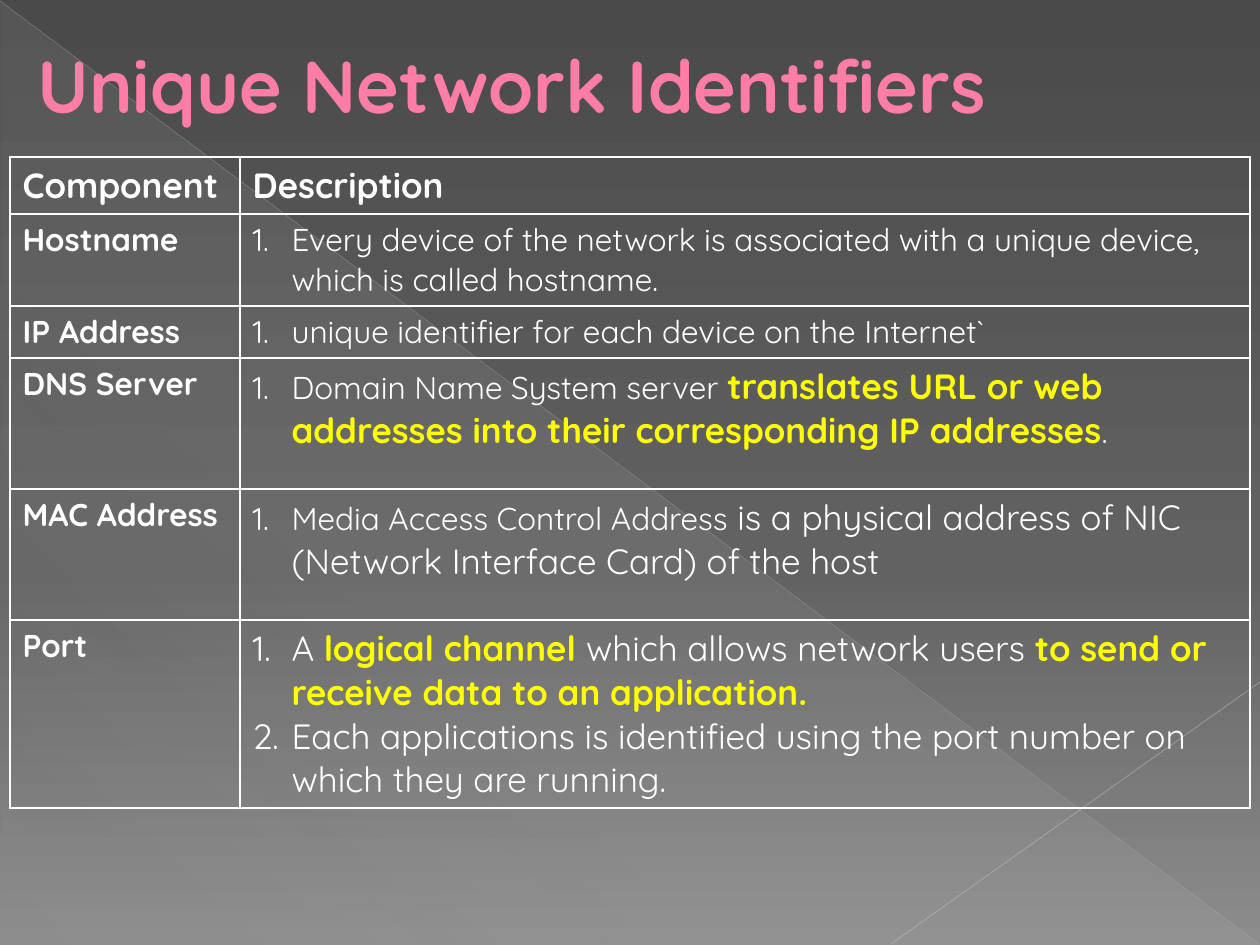
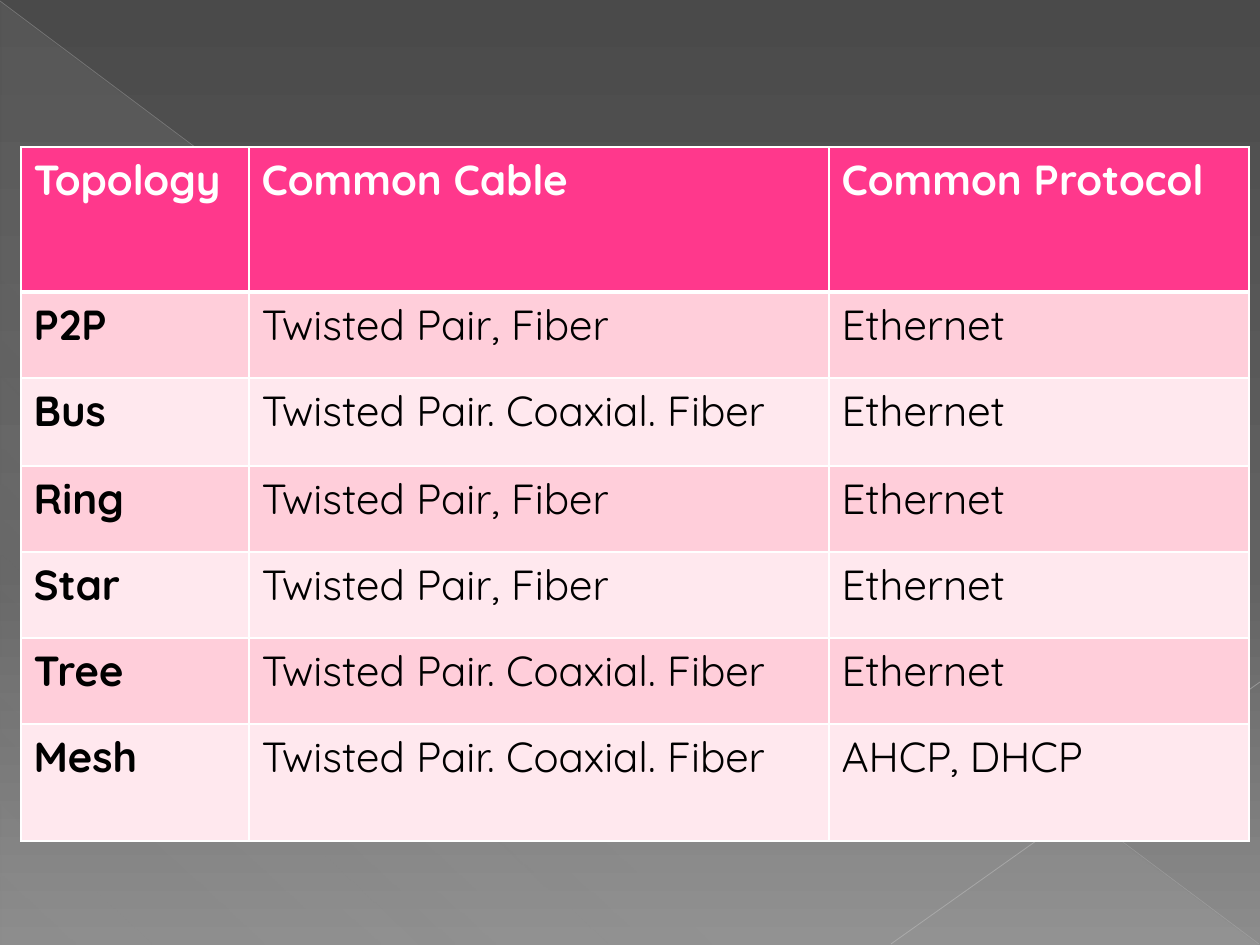
from typing import NamedTuple

from lxml.etree import SubElement
from pptx import Presentation
from pptx.dml.color import RGBColor
from pptx.enum.shapes import MSO_CONNECTOR as Connector, MSO_SHAPE as Shape
from pptx.enum.text import MSO_ANCHOR as Anchor
from pptx.oxml.ns import qn
from pptx.util import Emu, Pt

# Shared look
FONT = "Quicksand"
WHITE = RGBColor(0xFF, 0xFF, 0xFF)
BLACK = RGBColor(0x00, 0x00, 0x00)
YELLOW = RGBColor(0xFF, 0xFF, 0x00)
TITLE_PINK = RGBColor(0xFF, 0x7D, 0xA7)
TITLE_EDGE = RGBColor(0xB1, 0x27, 0x61)
HEADER_PINK = RGBColor(0xFF, 0x38, 0x8C)
BAND_PINK = RGBColor(0xFF, 0xCE, 0xDA)
BAND_PALE = RGBColor(0xFF, 0xE8, 0xEE)
DARK_GREY = RGBColor(0x4A, 0x4A, 0x4A)
MID_GREY = RGBColor(0x62, 0x62, 0x62)
LIGHT_GREY = RGBColor(0x8C, 0x8C, 0x8C)
VEIL_GREY = RGBColor(0xD2, 0xD2, 0xD2)
FALLING_GREY = RGBColor(0xBF, 0xBF, 0xBF)
RISING_GREY = RGBColor(0xC6, 0xC6, 0xC6)

PX_PER_INCH = 126
SLIDE_W, SLIDE_H = 1260, 945
NUMBER_INDENT = 39
TITLE_INDENT = 67


class Stop(NamedTuple):
    position: int
    color: RGBColor
    opacity: int = 100


class Ray(NamedTuple):
    start: tuple[int, int]
    end: tuple[int, int]
    color: RGBColor
    width: float
    opacity: int


class Span(NamedTuple):
    text: str
    size: int = 18
    bold: bool = False
    color: RGBColor = WHITE


class Grid(NamedTuple):
    left: int
    top: int
    columns: list[int]
    rows: list[int]


BACKGROUND = [Stop(0, DARK_GREY), Stop(60, MID_GREY), Stop(100, LIGHT_GREY)]
VEIL = [Stop(0, VEIL_GREY, 10), Stop(70, VEIL_GREY, 8), Stop(100, VEIL_GREY, 1)]
RAYS = [
    Ray((0, 1), (1259, 944), FALLING_GREY, 0.39, 35),
    Ray((1260, 682), (891, 944), RISING_GREY, 0.47, 45),
]

# Slide contents
IDENTIFIER_GRID = Grid(10, 157, [230, 1010], [57, 92, 52, 131, 131, 188])
IDENTIFIERS = [
    ("Hostname", [[Span("Every device of the network is associated with a unique device, "
                        "which is called hostname.")]]),
    ("IP Address", [[Span("unique identifier for each device on the Internet`")]]),
    ("DNS Server", [[
        Span("Domain Name System server "),
        Span("translates URL or web addresses into their corresponding IP addresses",
             20, True, YELLOW),
        Span("."),
    ]]),
    ("MAC Address", [[
        Span("Media Access Control Address"),
        Span(" is a physical address of NIC (Network Interface Card) of the host", 20),
    ]]),
    ("Port", [
        [
            Span("A ", 20),
            Span("logical channel ", 20, True, YELLOW),
            Span("which allows network users ", 20),
            Span("to send or receive data to an application.", 20, True, YELLOW),
        ],
        [Span("Each applications is identified using the port number on "
              "which they are running.", 20)],
    ]),
]

TOPOLOGY_GRID = Grid(21, 147, [228, 580, 420], [145, 86, 88, 86, 86, 86, 117])
SHORT_CABLES = "Twisted Pair, Fiber"
ALL_CABLES = "Twisted Pair. Coaxial. Fiber"
TOPOLOGIES = [
    ("Topology", "Common Cable", "Common Protocol"),
    ("P2P", SHORT_CABLES, "Ethernet"),
    ("Bus", ALL_CABLES, "Ethernet"),
    ("Ring", SHORT_CABLES, "Ethernet"),
    ("Star", SHORT_CABLES, "Ethernet"),
    ("Tree", ALL_CABLES, "Ethernet"),
    ("Mesh", ALL_CABLES, "AHCP, DHCP"),
]


def px(length: int) -> Emu:
    return Emu(round(length * 914400 / PX_PER_INCH))


# XML helpers
def add_color(parent, color: RGBColor, opacity: int = 100) -> None:
    node = SubElement(parent, qn("a:srgbClr"), val=str(color))
    if opacity < 100:
        SubElement(node, qn("a:alpha"), val=str(opacity * 1000))


def set_gradient(fill, element, stops: list[Stop], angle: int) -> None:
    fill.gradient()
    fill.gradient_angle = 360 - angle
    stop_list = element.find(".//" + qn("a:gsLst"))
    for old_stop in list(stop_list):
        stop_list.remove(old_stop)
    for stop in stops:
        node = SubElement(stop_list, qn("a:gs"), pos=str(stop.position * 1000))
        add_color(node, stop.color, stop.opacity)


def set_indent(para, margin: int, hanging: int = 0):
    props = para._p.get_or_add_pPr()
    props.set("marL", str(px(margin)))
    props.set("indent", str(-px(hanging)))
    return props


def set_borders(cell, top: float = 1, bottom: float = 1) -> None:
    props = cell._tc.get_or_add_tcPr()
    sides = [("lnL", 1), ("lnR", 1), ("lnT", top), ("lnB", bottom)]
    for place, (side, width) in enumerate(sides):
        line = SubElement(props, qn(f"a:{side}"), w=str(Pt(width)))
        add_color(SubElement(line, qn("a:solidFill")), WHITE)
        props.insert(place, line)


# Drawing
def add_text(para, text: str, *, size: int, bold: bool, color: RGBColor):
    run = para.add_run()
    run.text = text
    run.font.name = FONT
    run.font.size = Pt(size)
    run.font.bold = bold
    run.font.color.rgb = color
    return run


def add_page(deck):
    page = deck.slides.add_slide(deck.slide_layouts[6])
    set_gradient(page.background.fill, page._element, BACKGROUND, 90)
    veil = page.shapes.add_shape(Shape.RIGHT_TRIANGLE, px(1), px(2), px(1258), px(943))
    veil.shadow.inherit = False
    veil.line.fill.background()
    set_gradient(veil.fill, veil._element, VEIL, 133)
    for ray in RAYS:
        line = page.shapes.add_connector(
            Connector.STRAIGHT, *map(px, ray.start), *map(px, ray.end))
        line.line.width = Pt(ray.width)
        line.line.color.rgb = ray.color
        color = line._element.find(".//" + qn("a:srgbClr"))
        SubElement(color, qn("a:alpha"), val=str(ray.opacity * 1000))
        SubElement(line._element.spPr, qn("a:effectLst"))
    return page


def add_title(page, text: str) -> None:
    box = page.shapes.add_textbox(px(-42), px(21), px(1260), px(126))
    frame = box.text_frame
    frame.word_wrap = True
    frame.vertical_anchor = Anchor.MIDDLE
    para = frame.paragraphs[0]
    set_indent(para, TITLE_INDENT)
    run = add_text(para, text, size=42, bold=True, color=TITLE_PINK)
    props = run._r.get_or_add_rPr()
    edge = SubElement(props, qn("a:ln"), w=str(Pt(0.5)))
    add_color(SubElement(edge, qn("a:solidFill")), TITLE_EDGE)
    props.insert(0, edge)


def add_grid(page, grid: Grid):
    frame = page.shapes.add_table(
        len(grid.rows), len(grid.columns), px(grid.left), px(grid.top),
        px(sum(grid.columns)), px(sum(grid.rows)))
    table = frame.table
    table.first_row = table.horz_banding = False
    for column, width in zip(table.columns, grid.columns):
        column.width = px(width)
    for row, height in zip(table.rows, grid.rows):
        row.height = px(height)
    return table


def fill_cell(cell, paragraphs: list[list[Span]], numbered: bool = False) -> None:
    for index, spans in enumerate(paragraphs):
        frame = cell.text_frame
        para = frame.add_paragraph() if index else frame.paragraphs[0]
        if numbered:
            props = set_indent(para, NUMBER_INDENT, NUMBER_INDENT)
            SubElement(props, qn("a:buFont"), typeface="+mj-lt")
            SubElement(props, qn("a:buAutoNum"), type="arabicPeriod")
        for span in spans:
            add_text(para, span.text, size=span.size, bold=span.bold, color=span.color)


def add_identifier_page(deck) -> None:
    page = add_page(deck)
    add_title(page, "Unique Network Identifiers")
    table = add_grid(page, IDENTIFIER_GRID)
    for cell in table.iter_cells():
        cell.fill.background()
        set_borders(cell)
    for column, heading in enumerate(["Component", "Description"]):
        fill_cell(table.cell(0, column), [[Span(heading, 20, True)]])
    for row, (component, description) in enumerate(IDENTIFIERS, start=1):
        fill_cell(table.cell(row, 0), [[Span(component, bold=True)]])
        fill_cell(table.cell(row, 1), description, numbered=True)


def add_topology_page(deck) -> None:
    page = add_page(deck)
    table = add_grid(page, TOPOLOGY_GRID)
    for row, texts in enumerate(TOPOLOGIES):
        header = row == 0
        band = HEADER_PINK if header else BAND_PINK if row % 2 else BAND_PALE
        for column, text in enumerate(texts):
            cell = table.cell(row, column)
            cell.fill.solid()
            cell.fill.fore_color.rgb = band
            set_borders(cell, top=3 if row == 1 else 1, bottom=3 if header else 1)
            color = WHITE if header else BLACK
            fill_cell(cell, [[Span(text, 24, header or column == 0, color)]])


def main() -> None:
    deck = Presentation()
    deck.slide_width, deck.slide_height = px(SLIDE_W), px(SLIDE_H)
    add_identifier_page(deck)
    add_topology_page(deck)
    deck.save("out.pptx")


if __name__ == "__main__":
    main()
